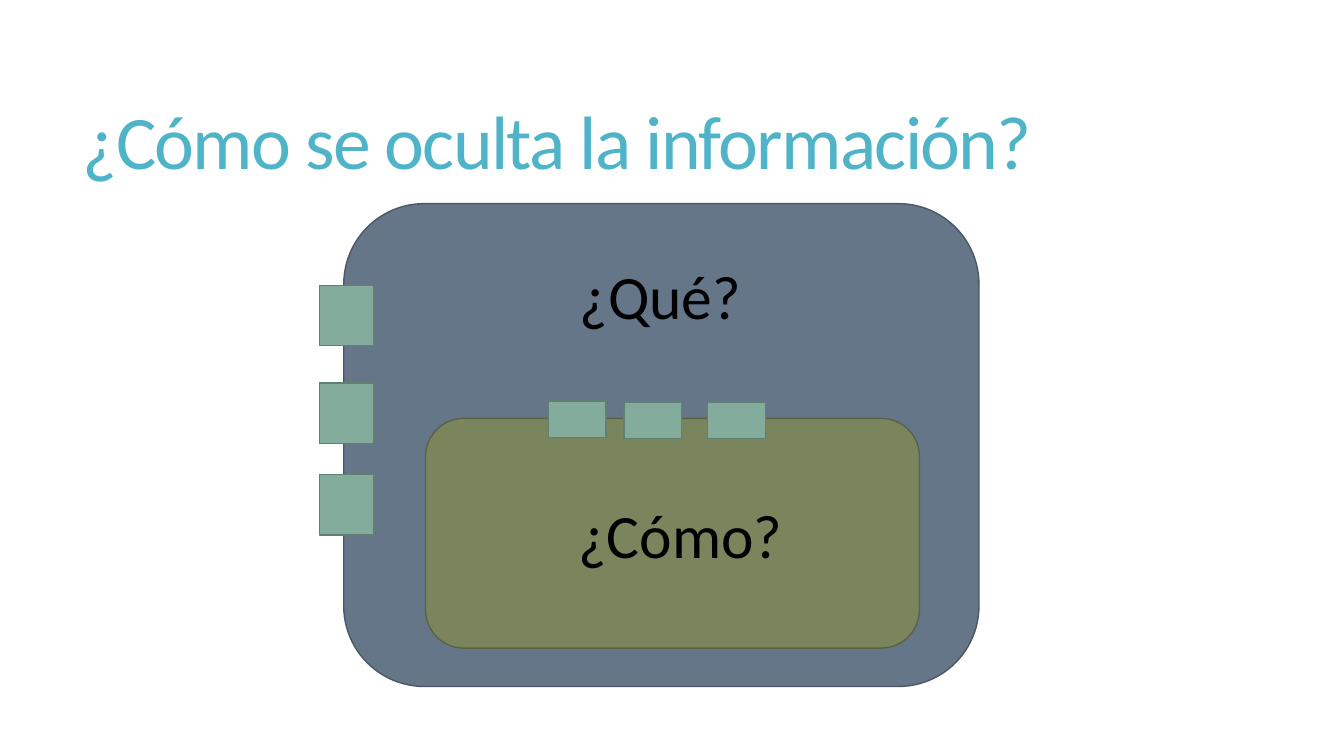
from dataclasses import dataclass

from pptx import Presentation
from pptx.dml.color import RGBColor
from pptx.enum.shapes import MSO_SHAPE as Shape
from pptx.enum.text import MSO_ANCHOR as Anchor, PP_ALIGN as Align
from pptx.util import Inches, Pt


@dataclass(frozen=True)
class Theme:
    font: str = "Calibri"
    title_size: int = 54
    label_size: int = 44
    title: str = "50B4C8"
    text: str = "000000"
    # Each pair is fill and outline
    outer: tuple = ("657689", "4B5765")
    inner: tuple = ("7A855D", "5A6245")
    port: tuple = ("84AC9D", "627F74")


class SlideBuilder:
    def __init__(self, slide, theme):
        self.slide = slide
        self.theme = theme

    def place(self, s, box):
        s.left, s.top, s.width, s.height = map(Inches, box)

    def style(self, p, size, color):
        for r in p.runs:
            r.font.name = self.theme.font
            r.font.size = Pt(size)
            r.font.color.rgb = RGBColor.from_string(color)

    def title(self, text, box):
        sp = self.slide.shapes.title
        self.place(sp, box)
        tf = sp.text_frame
        tf.text = text
        tf.word_wrap = True
        tf.vertical_anchor = Anchor.MIDDLE
        p = tf.paragraphs[0]
        p.alignment = Align.LEFT
        p.line_spacing = 0.85
        self.style(p, self.theme.title_size, self.theme.title)
        # Tighten the letter spacing
        p.runs[0].font._element.set("spc", "-120")

    def block(self, kind, box, colors):
        s = self.slide.shapes.add_shape(kind, *map(Inches, box))
        fill, line = map(RGBColor.from_string, colors)
        s.shadow.inherit = False
        s.fill.solid()
        s.fill.fore_color.rgb = fill
        s.line.color.rgb = line
        s.line.width = Pt(1)

    def label(self, text, box):
        tf = self.slide.shapes.add_textbox(*map(Inches, box)).text_frame
        tf.word_wrap = True
        tf.text = text
        p = tf.paragraphs[0]
        p.alignment = Align.CENTER
        self.style(p, self.theme.label_size, self.theme.text)


def main():
    prs = Presentation()
    prs.slide_width, prs.slide_height = Inches(13.33), Inches(7.5)
    theme = Theme()
    # Title Only layout
    page = SlideBuilder(prs.slides.add_slide(prs.slide_layouts[5]), theme)

    page.title("¿Cómo se oculta la información?", (0.72, 0.55, 11.78, 1.81))

    # Nested modules: interface outside, implementation inside
    page.block(Shape.ROUNDED_RECTANGLE, (3.41, 2.02, 6.3, 4.79), theme.outer)
    page.block(Shape.ROUNDED_RECTANGLE, (4.22, 4.15, 4.9, 2.28), theme.inner)
    page.label("¿Qué?", (3.65, 2.51, 5.8, 0.84))
    page.label("¿Cómo?", (3.85, 4.88, 5.8, 0.84))

    # Ports on the left edge of the outer module
    for top in (2.83, 3.8, 4.71):
        page.block(Shape.RECTANGLE, (3.17, top, 0.54, 0.6), theme.port)

    # Ports on the top edge of the inner module
    for left, top in ((5.44, 3.98), (6.19, 3.99), (7.02, 3.99)):
        page.block(Shape.RECTANGLE, (left, top, 0.57, 0.36), theme.port)

    prs.save("out.pptx")


if __name__ == "__main__":
    main()
